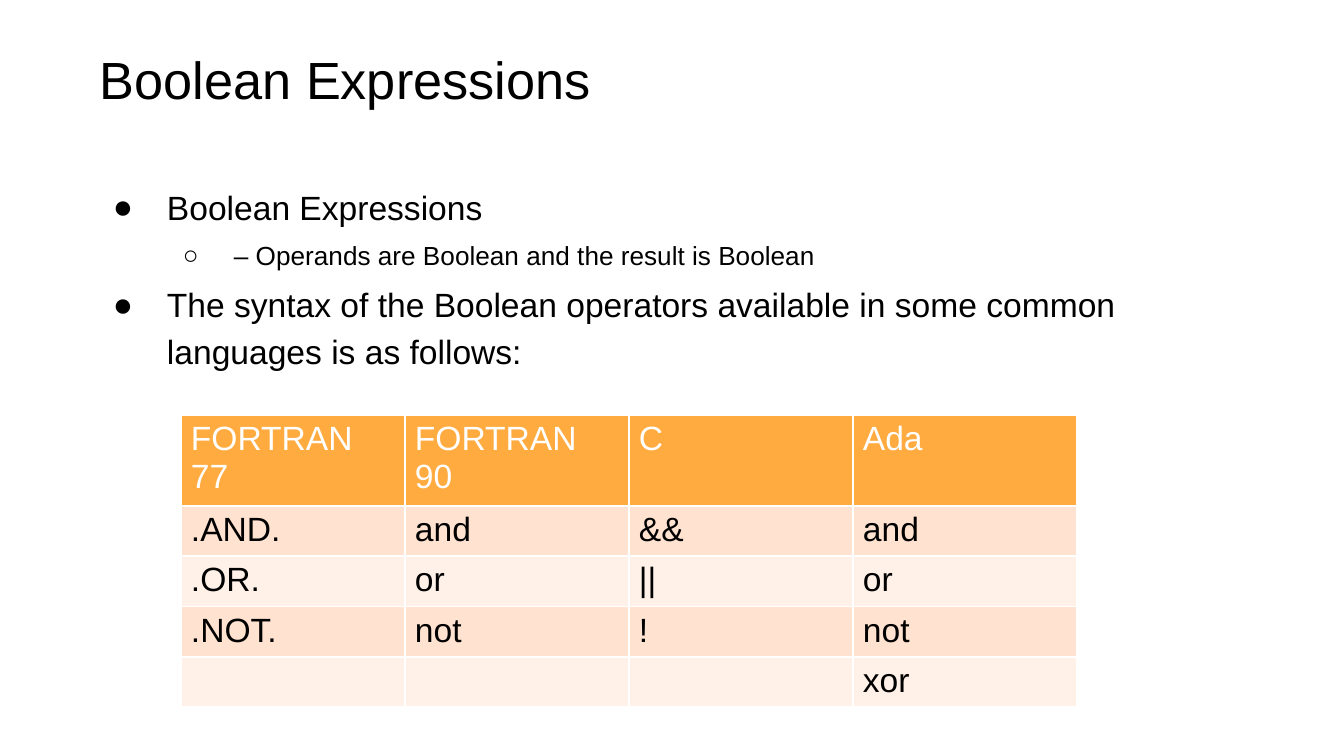
from lxml.etree import SubElement
from pptx import Presentation
from pptx.dml.color import RGBColor
from pptx.oxml.ns import qn
from pptx.util import Emu, Pt

# Content
TITLE = "Boolean Expressions"
BULLETS = [  # level, text
    (0, "Boolean Expressions"),
    (1, "– Operands are Boolean and the result is Boolean"),
    (0, "The syntax of the Boolean operators available in some common "
        "languages is as follows:"),
]
OPERATORS = [
    ("FORTRAN 77", "FORTRAN 90", "C", "Ada"),
    (".AND.", "and", "&&", "and"),
    (".OR.", "or", "||", "or"),
    (".NOT.", "not", "!", "not"),
    ("", "", "", "xor"),
]

# Look
FONT, BLACK, WHITE = "Arial", "000000", "FFFFFF"
HEADER_FILL, BAND_FILLS = "FFAB40", ("FFE2CF", "FFF1E8")
LEVELS = [  # bullet, size in pt, left margin and hanging indent in px
    ("●", 18, 67, 54),
    ("○", 14, 134, 51),
]
INSET_X, INSET_Y = 10, 5
COL_W, HEADER_H, ROW_H = 224, 91, 50


def px(n):
    return Emu(round(n * 914400 / 134.4))


def color(value):
    return RGBColor.from_string(value)


def set_insets(box):
    box.margin_left = box.margin_right = px(INSET_X)
    box.margin_top = box.margin_bottom = px(INSET_Y)


def write(p, text, size=18, fill=BLACK, before=0, spacing=None):
    p.space_before = Pt(before)
    p.line_spacing = spacing
    r = p.add_run()
    r.text = text
    r.font.name, r.font.size = FONT, Pt(size)
    r.font.color.rgb = color(fill)


def add_text(slide, x, y, w, h):
    tf = slide.shapes.add_textbox(px(x), px(y), px(w), px(h)).text_frame
    tf.word_wrap = True
    set_insets(tf)
    return tf


def set_bullet(p, char, margin, hanging):
    pPr = p._p.get_or_add_pPr()
    pPr.set("marL", str(px(margin)))
    pPr.set("indent", str(-px(hanging)))
    clr = SubElement(pPr, qn("a:buClr"))
    SubElement(clr, qn("a:srgbClr"), val=BLACK)
    SubElement(pPr, qn("a:buFont"), typeface=FONT)
    SubElement(pPr, qn("a:buChar"), char=char)


def set_borders(cell, value, width):
    tcPr = cell._tc.get_or_add_tcPr()
    for i, side in enumerate(("lnL", "lnR", "lnT", "lnB")):
        ln = tcPr.makeelement(qn(f"a:{side}"), {"w": str(Pt(width))})
        SubElement(SubElement(ln, qn("a:solidFill")), qn("a:srgbClr"), val=value)
        tcPr.insert(i, ln)  # borders come before the fill


prs = Presentation()
prs.slide_width, prs.slide_height = px(1344), px(756)
slide = prs.slides.add_slide(prs.slide_layouts[6])

# Title
tf = add_text(slide, 90, 42, 1199, 126)
write(tf.paragraphs[0], TITLE, size=28, before=4)

# Bullets
tf = add_text(slide, 90, 176, 1199, 504)
for i, (level, text) in enumerate(BULLETS):
    char, size, margin, hanging = LEVELS[level]
    p = tf.paragraphs[0] if i == 0 else tf.add_paragraph()
    p.level = level
    write(p, text, size=size, before=4, spacing=1.15)
    set_bullet(p, char, margin, hanging)

# Operator table
n_rows, n_cols = len(OPERATORS), len(OPERATORS[0])
table = slide.shapes.add_table(
    n_rows, n_cols, px(181), px(415),
    px(n_cols * COL_W), px(HEADER_H + (n_rows - 1) * ROW_H)).table
for col in table.columns:
    col.width = px(COL_W)
for i, row in enumerate(OPERATORS):
    header = i == 0
    table.rows[i].height = px(HEADER_H if header else ROW_H)
    for j, text in enumerate(row):
        cell = table.cell(i, j)
        set_insets(cell)
        cell.fill.solid()
        cell.fill.fore_color.rgb = color(
            HEADER_FILL if header else BAND_FILLS[(i - 1) % 2])
        set_borders(cell, WHITE, 1)
        if text:
            p = cell.text_frame.paragraphs[0]
            write(p, text, fill=WHITE if header else BLACK)
            p.runs[0].font.bold = False

prs.save("out.pptx")
